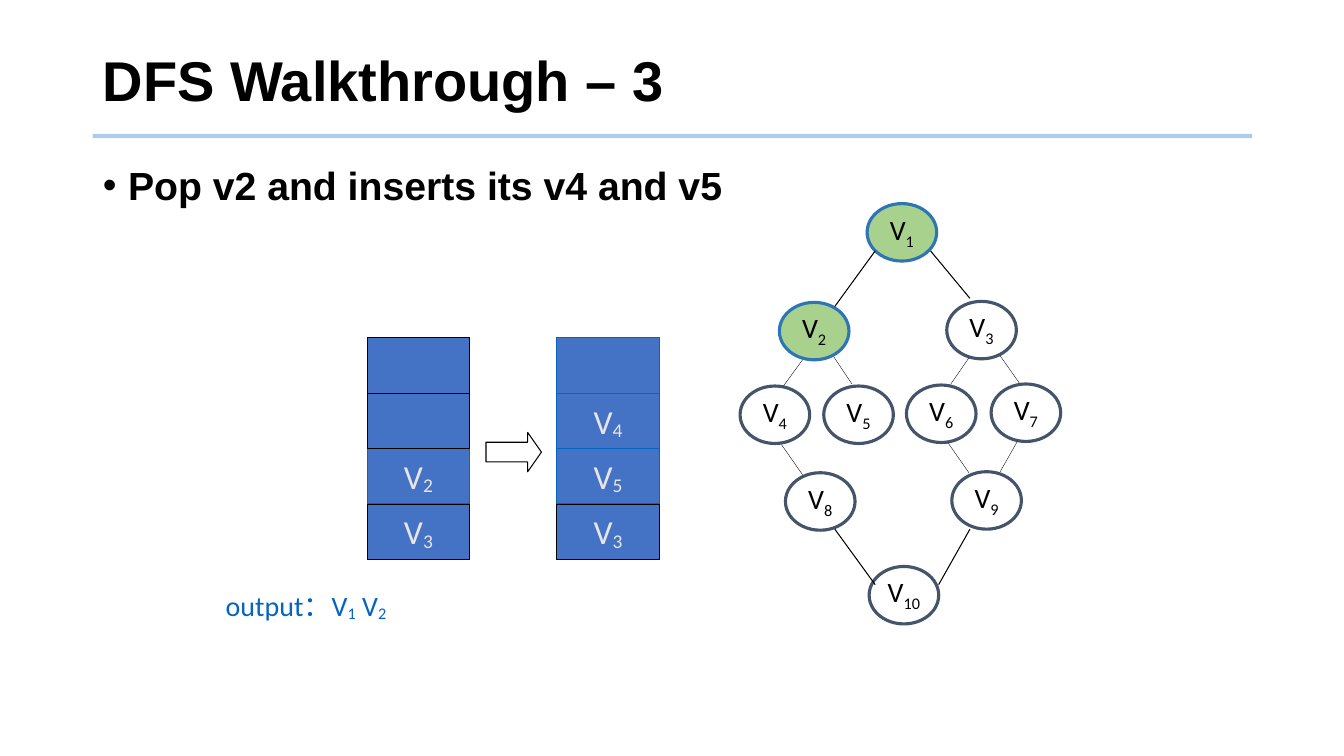
from dataclasses import dataclass

from lxml import etree
from pptx import Presentation
from pptx.dml.color import RGBColor
from pptx.enum.shapes import MSO_CONNECTOR, MSO_SHAPE
from pptx.enum.text import MSO_ANCHOR, MSO_AUTO_SIZE, PP_ALIGN
from pptx.oxml.ns import qn
from pptx.util import Inches, Pt

STRAIGHT = MSO_CONNECTOR.STRAIGHT
OVAL, RECTANGLE, RIGHT_ARROW = MSO_SHAPE.OVAL, MSO_SHAPE.RECTANGLE, MSO_SHAPE.RIGHT_ARROW
TOP, MIDDLE = MSO_ANCHOR.TOP, MSO_ANCHOR.MIDDLE
LEFT, CENTER = PP_ALIGN.LEFT, PP_ALIGN.CENTER
NO_AUTOFIT = MSO_AUTO_SIZE.NONE


@dataclass(frozen=True)
class Theme:
    heading_font: str = "Arial"
    label_font: str = "Calibri"
    black: str = "000000"
    rule: str = "5B9BD5"
    visited_fill: str = "A9D18E"
    visited_line: str = "2E75B6"
    node_line: str = "44546A"
    cell_fill: str = "4472C4"
    cell_text: str = "E7E6E6"
    accent: str = "0563C1"
    title_size: int = 40
    body_size: int = 28
    cell_size: int = 24
    label_size: int = 20


class SlideBuilder:
    def __init__(self, slide, theme):
        self.slide = slide
        self.theme = theme

    def add_run(self, paragraph, text, size, color, font=None, bold=False, baseline=0):
        run = paragraph.add_run()
        run.text = text
        run.font.size = Pt(size)
        run.font.name = font or self.theme.label_font
        run.font.bold = bold
        run.font.color.rgb = RGBColor.from_string(color)
        if baseline:
            run.font._element.set("baseline", str(baseline * 1000))

    def add_vertex_name(self, paragraph, number, size, color, baseline):
        self.add_run(paragraph, "V", size, color)
        self.add_run(paragraph, str(number), size, color, baseline=baseline)

    def fill_placeholder(self, shape, box, text, size, anchor):
        shape.left, shape.top, shape.width, shape.height = map(Inches, box)
        frame = shape.text_frame
        frame.auto_size = NO_AUTOFIT
        frame.vertical_anchor = anchor
        paragraph = frame.paragraphs[0]
        paragraph.alignment = LEFT
        paragraph.line_spacing = 0.9
        self.add_run(paragraph, text, size, self.theme.black, self.theme.heading_font, True)
        return paragraph

    def title(self, text):
        self.fill_placeholder(self.slide.shapes.title, (0.92, 0.28, 11.5, 1.1),
                              text, self.theme.title_size, MIDDLE)

    def bullet(self, text):
        paragraph = self.fill_placeholder(self.slide.placeholders[1], (0.92, 1.6, 11.5, 5.15),
                                          text, self.theme.body_size, TOP)
        paragraph.space_before = Pt(10)
        properties = paragraph._p.get_or_add_pPr()
        properties.set("marL", str(Inches(0.25)))
        properties.set("indent", str(Inches(-0.25)))
        etree.SubElement(properties, qn("a:buChar")).set("char", "•")

    def line(self, start, end, width, color, opacity=None):
        connector = self.slide.shapes.add_connector(STRAIGHT, *map(Inches, start + end))
        connector.line.width = Pt(width)
        connector.line.color.rgb = RGBColor.from_string(color)
        properties = connector._element.spPr
        if opacity:
            color_element = next(properties.iter(qn("a:srgbClr")))
            etree.SubElement(color_element, qn("a:alpha")).set("val", str(opacity * 1000))
        etree.SubElement(properties, qn("a:effectLst"))

    def shape(self, kind, box, line_color, line_width, fill=None):
        shape = self.slide.shapes.add_shape(kind, *map(Inches, box))
        shape.shadow.inherit = False
        if fill:
            shape.fill.solid()
            shape.fill.fore_color.rgb = RGBColor.from_string(fill)
        else:
            shape.fill.background()
        shape.line.color.rgb = RGBColor.from_string(line_color)
        shape.line.width = Pt(line_width)
        return shape

    def node(self, number, left, top, visited):
        theme = self.theme
        line_color = theme.visited_line if visited else theme.node_line
        shape = self.shape(OVAL, (left, top, 0.69, 0.57), line_color, 2.25,
                           theme.visited_fill if visited else None)
        frame = shape.text_frame
        frame.margin_left = frame.margin_right = frame.margin_top = frame.margin_bottom = 0
        frame.vertical_anchor = TOP
        paragraph = frame.paragraphs[0]
        paragraph.alignment = CENTER
        paragraph.line_spacing = 0.96
        self.add_vertex_name(paragraph, number, theme.label_size, theme.black, -25)

    def stack_cell(self, left, top, number, line_color):
        theme = self.theme
        shape = self.shape(RECTANGLE, (left, top, 1.02, 0.55), line_color, 0.75, theme.cell_fill)
        if number:
            frame = shape.text_frame
            frame.word_wrap = False
            frame.vertical_anchor = MIDDLE
            paragraph = frame.paragraphs[0]
            paragraph.alignment = CENTER
            self.add_vertex_name(paragraph, number, theme.cell_size, theme.cell_text, -10)

    def arrow(self, box):
        shape = self.shape(RIGHT_ARROW, box, self.theme.black, 0.75)
        shape.adjustments[0] = 0.5
        shape.adjustments[1] = 0.35

    def output(self, box, numbers):
        theme = self.theme
        frame = self.slide.shapes.add_textbox(*map(Inches, box)).text_frame
        frame.word_wrap = True
        paragraph = frame.paragraphs[0]
        self.add_run(paragraph, "output：", theme.label_size, theme.accent)
        for index, number in enumerate(numbers):
            if index:
                self.add_run(paragraph, " ", theme.label_size, theme.accent)
            self.add_vertex_name(paragraph, number, theme.label_size, theme.accent, -10)


NODES = {
    1: (8.6, 2.02), 2: (7.73, 3), 3: (9.39, 2.99), 4: (7.34, 3.83), 5: (8.17, 3.83),
    6: (8.99, 3.82), 7: (9.83, 3.81), 8: (7.79, 4.69), 9: (9.44, 4.68), 10: (8.62, 5.62),
}
VISITED = (1, 2)
THIN_EDGES = [
    ((7.96, 3.57), (7.77, 3.83)), ((8.27, 3.54), (8.45, 3.81)),
    ((7.75, 4.41), (7.96, 4.71)), ((9.61, 3.55), (9.43, 3.81)),
    ((9.92, 3.53), (10.11, 3.8)), ((9.4, 4.39), (9.61, 4.69)),
    ((10.09, 4.38), (9.92, 4.68)),
]
OUTER_EDGES = [
    ((8.68, 2.49), (8.28, 3.04)), ((9.23, 2.49), (9.62, 2.96)),
    ((8.28, 5.25), (8.68, 5.8)), ((9.62, 5.25), (9.31, 5.8)),
]


def main():
    theme = Theme()
    stacks = {
        3.64: [(3, theme.black), (2, theme.accent), (None, theme.black), (None, theme.black)],
        5.52: [(3, theme.black), (5, theme.accent), (4, theme.accent), (None, theme.accent)],
    }
    presentation = Presentation()
    presentation.slide_width = Inches(13.33)
    presentation.slide_height = Inches(7.5)
    slide = presentation.slides.add_slide(presentation.slide_layouts[1])
    builder = SlideBuilder(slide, theme)

    builder.title("DFS Walkthrough – 3")
    builder.line((0.92, 1.35), (12.42, 1.35), 3, theme.rule, opacity=50)
    builder.bullet("Pop v2 and inserts its v4 and v5")

    for number, (left, top) in NODES.items():
        builder.node(number, left, top, number in VISITED)
    for edges, width in ((THIN_EDGES, 0.25), (OUTER_EDGES, 0.75)):
        for start, end in edges:
            builder.line(start, end, width, theme.black)

    for left, cells in stacks.items():
        for level, (number, line_color) in enumerate(cells):
            builder.stack_cell(left, 5 - 0.55 * level, number, line_color)
    builder.arrow((4.82, 4.29, 0.55, 0.39))
    builder.output((2.14, 5.79, 1.85, 0.44), VISITED)

    presentation.save("out.pptx")


if __name__ == "__main__":
    main()
